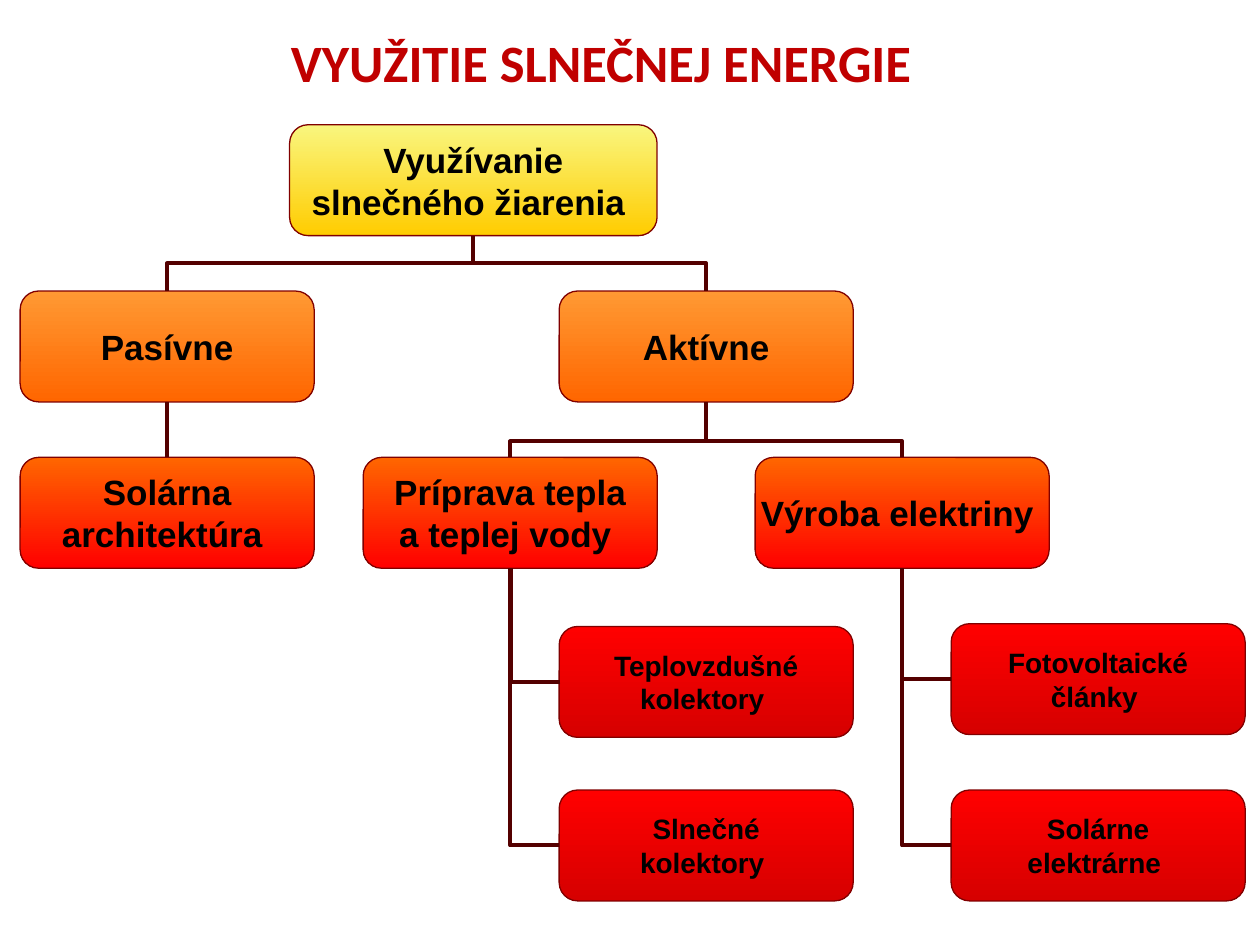
from dataclasses import dataclass

from lxml.etree import SubElement
from pptx import Presentation
from pptx.dml.color import RGBColor as RGB
from pptx.enum.shapes import MSO_CONNECTOR as Conn, MSO_SHAPE as Kind
from pptx.enum.text import MSO_ANCHOR as Anchor, PP_ALIGN as Align
from pptx.oxml.ns import qn
from pptx.util import Inches, Pt


@dataclass(frozen=True)
class Theme:
    title: str = "C00000"
    text: str = "000000"
    edge: str = "800000"
    link: str = "540000"
    yellow: tuple = ("F9F67F", "FFCC00")
    orange: tuple = ("FF9933", "FF6600")
    flame: tuple = ("FF6600", "FF0000")
    red: tuple = ("FF0000", "D60000")
    head: int = 30
    big: int = 20
    small: int = 16


class Chart:
    # Grid: origin and step in inches; a box is 6 columns by 2 rows
    left, top = 0.16, 0.99
    col, row = 7 / 18, 0.44

    def __init__(self, slide, theme):
        self.slide, self.theme = slide, theme

    def label(self, shape, text, font, size, color):
        frame = shape.text_frame
        frame.word_wrap = True
        frame.vertical_anchor = Anchor.MIDDLE
        frame.margin_left = frame.margin_right = 0
        frame.margin_top = frame.margin_bottom = 0
        frame.text = text
        for para in frame.paragraphs:
            para.alignment = Align.CENTER
            para.font.name, para.font.size = font, Pt(size)
            para.font.bold = True
            para.font.color.rgb = RGB.from_string(color)

    def title(self, text):
        area = [Inches(n) for n in (0.32, 0.21, 9, 0.55)]
        box = self.slide.shapes.add_textbox(*area)
        self.label(box, text, "Calibri", self.theme.head, self.theme.title)

    def box(self, text, col, row, shades, size, wide=6):
        box = self.slide.shapes.add_shape(
            Kind.ROUNDED_RECTANGLE,
            Inches(self.left + col * self.col), Inches(self.top + row * self.row),
            Inches(wide * self.col), Inches(2 * self.row))
        box.shadow.inherit = False
        box.fill.gradient()
        box.fill.gradient_angle = 270
        for stop, shade in zip(box.fill.gradient_stops, shades):
            stop.color.rgb = RGB.from_string(shade)
        box.line.color.rgb = RGB.from_string(self.theme.edge)
        box.line.width = Pt(0.75)
        self.label(box, text, "Arial", size, self.theme.text)
        return box

    def line(self, kind, x, y, wide, high):
        line = self.slide.shapes.add_connector(
            kind, int(x), int(y), int(x + wide), int(y + high))
        line.line.color.rgb = RGB.from_string(self.theme.link)
        line.line.width = Pt(2.25)
        SubElement(line.element.spPr, qn("a:effectLst"))
        return line

    def link(self, child, parent):
        """Straight line from a child's top to its parent's bottom."""
        line = self.line(Conn.STRAIGHT, 0, 0, 0, 0)
        line.begin_connect(child, 0)
        line.end_connect(parent, 2)

    def fork(self, child, parent, bend):
        """Three-part elbow from a child's top to its parent's bottom."""
        x1, x2 = (b.left + b.width / 2 for b in (child, parent))
        y1, y2 = child.top, parent.top + parent.height
        wide, high = y1 - y2, abs(x2 - x1)
        line = self.line(Conn.ELBOW, (x1 + x2 - wide) / 2,
                         (y1 + y2 - high) / 2, wide, high)
        frame = line.element.spPr.find(qn("a:xfrm"))
        frame.set("rot", str(270 * 60000))
        if x1 > x2:
            frame.set("flipV", "1")
        guide = SubElement(line.element.spPr.find(".//" + qn("a:avLst")), qn("a:gd"))
        guide.set("name", "adj1")
        guide.set("fmla", f"val {int(bend * 100000)}")

    def hang(self, child, parent, shift=0):
        """Two-part elbow from a child's left side to its parent's bottom."""
        x, y = parent.left + parent.width / 2, parent.top + parent.height
        line = self.line(Conn.ELBOW, x + Inches(shift), y, child.left - x,
                         child.top + child.height / 2 - y)
        line.element.spPr.find(qn("a:xfrm")).set("rot", str(180 * 60000))
        line.element.spPr.find(qn("a:prstGeom")).set("prst", "bentConnector2")


def main():
    deck = Presentation()
    deck.slide_width, deck.slide_height = Inches(10), Inches(7.5)
    look = Theme()
    chart = Chart(deck.slides.add_slide(deck.slide_layouts[6]), look)
    chart.title("VYUŽITIE SLNEČNEJ ENERGIE ")

    # Top three levels
    root = chart.box("Využívanie slnečného žiarenia ", 5.5, 0,
                     look.yellow, look.big, 7.5)
    passive, active = (chart.box(text, col, 3, look.orange, look.big)
                       for text, col in (("Pasívne", 0), ("Aktívne", 11)))
    house, heat, power = (
        chart.box(text, col, 6, look.flame, look.big) for text, col in (
            ("Solárna architektúra ", 0),
            ("Príprava tepla\na teplej vody ", 7),
            ("Výroba elektriny ", 15)))

    # Lowest level
    water, cells, plants, air = (
        chart.box(text, col, row, look.red, look.small) for text, col, row in (
            ("Slnečné\nkolektory ", 11, 12),
            ("Fotovoltaické\nčlánky ", 19, 9),
            ("Solárne\nelektrárne ", 19, 12),
            ("Teplovzdušné\nkolektory ", 11, 9.05)))

    # Links
    for child, parent, bend in ((passive, root, 0.5), (active, root, 0.5),
                                (heat, active, 0.29), (power, active, 0.29)):
        chart.fork(child, parent, bend)
    chart.link(house, passive)
    for child, parent, shift in ((water, heat, 0), (cells, power, 0),
                                 (plants, power, 0), (air, heat, 0.01)):
        chart.hang(child, parent, shift)

    deck.save("out.pptx")


if __name__ == "__main__":
    main()
